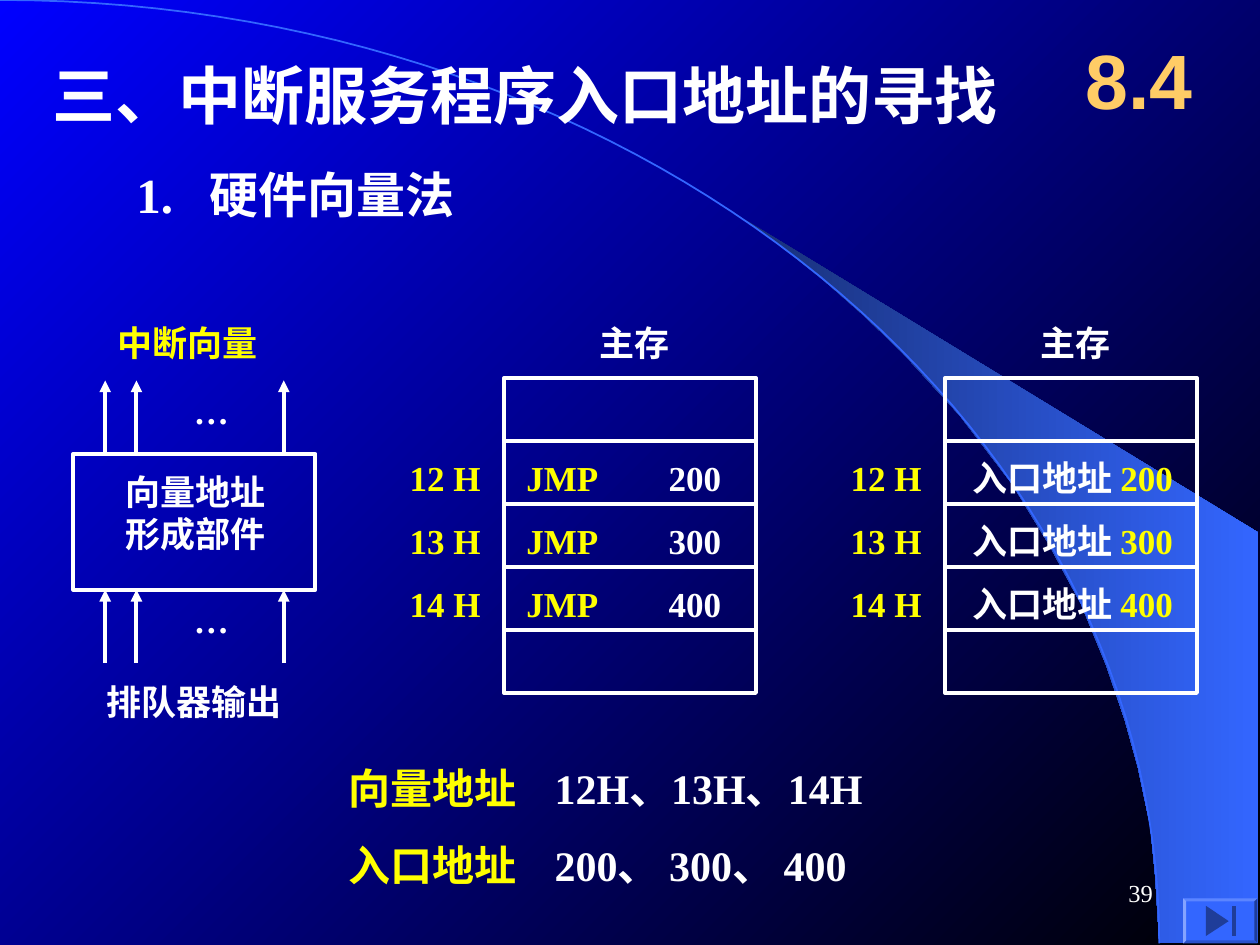
import pptx
import pptx.dml.color
import pptx.enum.shapes
import pptx.enum.text
import pptx.oxml
import pptx.oxml.ns
import pptx.util
from dataclasses import dataclass

Cm = pptx.util.Cm
Align = pptx.enum.text.PP_ALIGN


@dataclass(frozen=True)
class Theme:
    white: str = "FFFFFF"
    yellow: str = "FFFF00"
    gold: str = "FFCC66"
    blue: str = "3366FF"
    sky: tuple = ("0000FF", "000000")
    crescent: tuple = ("182F76", "3366FF")
    bevel: tuple = ("5C85FF", "1F3D99", "2952CC", "85A3FF")
    icon: str = "1F3D99"
    serif: str = "Times New Roman"
    sans: str = "Arial"
    title: int = 36
    heading: int = 28
    summary: int = 24
    label: int = 20
    chapter: int = 44
    number: int = 14
    rule: float = 2.25


THEME = Theme()
W, Y = THEME.white, THEME.yellow

# Content: a paragraph is a list of (text, colour) spans
TITLE = [("三、中断服务程序入口地址的寻找", W)]
HEADING = [("1.\t硬件向量法", W)]
UNIT = [[("向量地址", W)], [("形成部件", W)]]
VECTORS = ["12 H", "13 H", "14 H"]
ENTRIES = ["200", "300", "400"]
MEMORIES = [
    dict(left=19.05, inset=0.3, width=4.72, wrap=False,
         cells=[[("入口地址 ", W), (entry, Y)] for entry in ENTRIES]),
    dict(left=10.16, inset=0.2, width=5.08, wrap=True,
         cells=[[("JMP\t", Y), (entry, W)] for entry in ENTRIES]),
]
SUMMARY = [
    [("向量地址\t", Y), ("12H、13H、14H", W)],
    [("入口地址\t", Y), ("200、 300、 400", W)],
]

# Geometry in centimetres
ROW_TOP, ROW_HEIGHT, ROW_WIDTH, ROW_COUNT = 7.62, 1.27, 5.08, 5
LABEL_TOP, LABEL_HEIGHT = 6.35, 1.12
UNIT_BOX = (1.48, 9.15, 4.88, 2.74)
ARROW_LEFTS, ARROW_LENGTH = (2.12, 2.75, 5.72), 1.48
ARC = [(0, 0), (12.9, 0), (23.37, 8.51), (23.37, 19.02)]
CRESCENT = [
    (23.37, 19), (25.37, 19.02), (25.37, 10.74), (14.96, 4.39), (15.85, 5.05),
    (16.59, 5.64), (17.4, 6.35), (18.19, 7.11), (19.35, 8.38), (20.4, 9.75),
    (21.13, 10.95), (21.79, 12.17), (22.3, 13.41), (22.68, 14.53),
    (22.94, 15.47), (23.19, 16.66), (23.29, 17.68),
]
BUTTON, BEVEL = (23.85, 18.11, 25.35, 19.02), 0.06

deck = pptx.Presentation()
deck.slide_width, deck.slide_height = Cm(25.4), Cm(19.05)
page = deck.slides.add_slide(deck.slide_layouts[6])


def rgb(code):
    return pptx.dml.color.RGBColor.from_string(code)


def paint_gradient(fill, colours, angle):
    fill.gradient()
    fill.gradient_angle = angle
    for stop, colour in zip(fill.gradient_stops, colours):
        stop.color.rgb = rgb(colour)


def add_text(place, paragraphs, size=THEME.label, font=THEME.serif, bold=True, margin=0.25,
             wrap=True, grow=False, align=None, space=0, tab=None):
    box = page.shapes.add_textbox(*map(Cm, place))
    frame = box.text_frame
    frame.word_wrap = wrap
    frame.margin_left = frame.margin_right = Cm(margin)
    frame.margin_top = frame.margin_bottom = Cm(0.13)
    if grow:
        frame.auto_size = pptx.enum.text.MSO_AUTO_SIZE.SHAPE_TO_FIT_TEXT
    else:
        frame.vertical_anchor = pptx.enum.text.MSO_ANCHOR.MIDDLE
    for index, spans in enumerate(paragraphs):
        para = frame.paragraphs[0] if index == 0 else frame.add_paragraph()
        if tab:
            tabs = pptx.oxml.parse_xml(
                f'<a:tabLst {pptx.oxml.ns.nsdecls("a")}><a:tab pos="{int(Cm(tab))}" algn="l"/></a:tabLst>')
            para._p.get_or_add_pPr().append(tabs)
        if align is not None:
            para.alignment = align
        if index and space:
            para.space_before = pptx.util.Pt(space)
        for text, colour in spans:
            span = para.add_run()
            span.text = text
            span.font.name, span.font.size, span.font.bold = font, pptx.util.Pt(size), bold
            span.font.color.rgb = rgb(colour)


def add_outline(points, fill=None, line=None, close=True):
    points = [(Cm(x), Cm(y)) for x, y in points]
    builder = page.shapes.build_freeform(*points[0], scale=1.0)
    builder.add_line_segments(points[1:], close=close)
    shape = builder.convert_to_shape()
    shape.shadow.inherit = False
    shape.fill.background()
    shape.line.fill.background()
    if fill:
        shape.fill.solid()
        shape.fill.fore_color.rgb = rgb(fill)
    if line:
        shape.line.color.rgb = rgb(line)
        shape.line.width = pptx.util.Pt(1)
    return shape


def add_frame(place):
    shape = page.shapes.add_shape(pptx.enum.shapes.MSO_SHAPE.RECTANGLE, *map(Cm, place))
    shape.shadow.inherit = False
    shape.fill.background()
    shape.line.color.rgb = rgb(W)
    shape.line.width = pptx.util.Pt(THEME.rule)


def add_up_arrow(left, bottom):
    arrow = page.shapes.add_connector(pptx.enum.shapes.MSO_CONNECTOR.STRAIGHT,
                                      Cm(left), Cm(bottom), Cm(left), Cm(bottom - ARROW_LENGTH))
    arrow.line.color.rgb = rgb(W)
    arrow.line.width = pptx.util.Pt(THEME.rule)
    namespace = pptx.oxml.ns.nsdecls("a")
    arrow.line._get_or_add_ln().append(pptx.oxml.parse_xml(f'<a:tailEnd {namespace} type="triangle"/>'))
    arrow._element.spPr.append(pptx.oxml.parse_xml(f"<a:effectLst {namespace}/>"))


def curve(controls, steps=60):
    for t in (step / steps for step in range(steps + 1)):
        weights = ((1 - t) ** 3, 3 * t * (1 - t) ** 2, 3 * t ** 2 * (1 - t), t ** 3)
        yield tuple(sum(w * point[axis] for w, point in zip(weights, controls)) for axis in (0, 1))


def corners(left, top, right, bottom):
    return [(left, top), (right, top), (right, bottom), (left, bottom)]


# Background with crescent and arc
paint_gradient(page.background.fill, THEME.sky, 315)
paint_gradient(add_outline(CRESCENT).fill, THEME.crescent, 0)
add_outline(curve(ARC), line=THEME.blue, close=False)

# Title and heading
add_text((1.06, 1.06, 24.13, 1.7), [TITLE], size=THEME.title, margin=0, wrap=False)
add_text((2.75, 3.18, 10.8, 1.47), [HEADING], size=THEME.heading, margin=0, wrap=False, tab=1.48)

# Main memories
for memory in MEMORIES:
    left = memory["left"]
    row_tops = [ROW_TOP + ROW_HEIGHT * row for row in range(ROW_COUNT)]
    add_text((left + 1.68, LABEL_TOP, 2.5, LABEL_HEIGHT), [[("主存", W)]], grow=True)
    for top in row_tops:
        add_frame((left, top, ROW_WIDTH, ROW_HEIGHT))
    for top, vector, cell in zip(row_tops[1:], VECTORS, memory["cells"]):
        add_text((left - 1.9, top, 1.7, 1.47), [[(vector, Y)]], margin=0, wrap=False)
        add_text((left + memory["inset"], top + 0.18, memory["width"], LABEL_HEIGHT), [cell],
                 wrap=memory["wrap"], grow=True, tab=2.87)

# Vector address unit with its inputs and outputs
add_text((2.28, 9.35, 4, 1.96), UNIT, grow=True)
add_frame(UNIT_BOX)
unit_bottom = UNIT_BOX[1] + UNIT_BOX[3]
for bottom in (UNIT_BOX[1], unit_bottom + ARROW_LENGTH):
    for left in ARROW_LEFTS:
        add_up_arrow(left, bottom)
    add_text((3.66, bottom - 1.43, 1.22, LABEL_HEIGHT), [[("…", W)]], wrap=False, grow=True)
add_text((2.11, LABEL_TOP, 4.65, LABEL_HEIGHT), [[("中断向量", Y)]], grow=True)
add_text((1.9, 13.59, 5.92, LABEL_HEIGHT), [[("排队器输出", W)]], grow=True)

# Summary, chapter and page number
add_text((6.78, 15.24, 18, 2.82), SUMMARY, size=THEME.summary, grow=True, space=15, tab=4.15)
add_text((21.38, 0.42, 3.18, 2.34), [[("8.4", THEME.gold)]], size=THEME.chapter,
         font=THEME.sans, align=Align.CENTER)

# Button to the last page
outer = corners(*BUTTON)
inner = corners(BUTTON[0] + BEVEL, BUTTON[1] + BEVEL, BUTTON[2] - BEVEL, BUTTON[3] - BEVEL)
add_outline(outer, fill=THEME.blue)
for side, colour in enumerate(THEME.bevel):
    after = (side + 1) % 4
    add_outline([outer[side], outer[after], inner[after], inner[side]], fill=colour)
add_outline([(24.77, 18.57), (24.31, 18.87), (24.31, 18.26)], fill=THEME.icon)
add_outline(corners(24.84, 18.26, 24.92, 18.87), fill=THEME.icon)

add_text((18.21, 17.36, 5.28, 1.27), [[("39", W)]], size=THEME.number, bold=False, align=Align.RIGHT)

deck.save("out.pptx")
